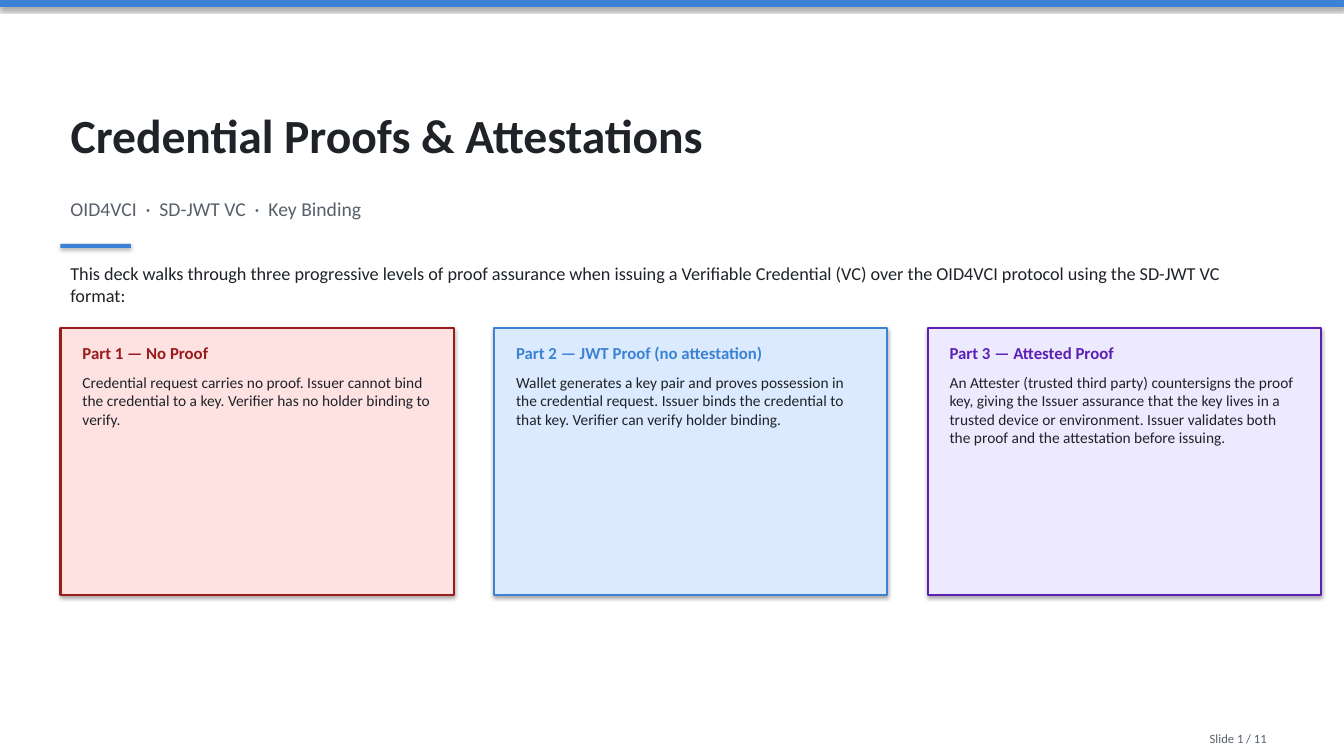
from dataclasses import dataclass

from pptx import Presentation
from pptx.dml.color import RGBColor
from pptx.enum.shapes import MSO_SHAPE
from pptx.enum.text import MSO_ANCHOR, MSO_AUTO_SIZE, PP_ALIGN
from pptx.util import Inches, Pt

TITLE = "Credential Proofs & Attestations"
TOPICS = "OID4VCI  ·  SD-JWT VC  ·  Key Binding"
INTRO = (
    "This deck walks through three progressive levels of proof assurance when "
    "issuing a Verifiable Credential (VC) over the OID4VCI protocol using the "
    "SD-JWT VC format:"
)
FOOTER = "Slide 1 / 11"

# heading, body, body height, fill, accent
PARTS = [
    ("Part 1 — No Proof",
     "Credential request carries no proof. Issuer cannot bind the credential "
     "to a key. Verifier has no holder binding to verify.",
     0.65, "FEE2E2", "991B1B"),
    ("Part 2 — JWT Proof (no attestation)",
     "Wallet generates a key pair and proves possession in the credential "
     "request. Issuer binds the credential to that key. Verifier can verify "
     "holder binding.",
     0.65, "DBEAFE", "3B82D4"),
    ("Part 3 — Attested Proof",
     "An Attester (trusted third party) countersigns the proof key, giving the "
     "Issuer assurance that the key lives in a trusted device or environment. "
     "Issuer validates both the proof and the attestation before issuing.",
     0.83, "EDE9FE", "5B21B6"),
]


@dataclass(frozen=True)
class Theme:
    font: str = "Calibri"
    ink: str = "1F2328"
    muted: str = "57606A"
    accent: str = "3B82D4"
    title: int = 34
    topics: int = 14
    intro: int = 13
    heading: int = 12
    body: int = 11
    footer: int = 9


THEME = Theme()
WIDTH, HEIGHT = 13.33, 7.5
MARGIN = 0.6
CARD_TOP, CARD_W, CARD_H, GAP = 3.25, 3.9, 2.65, 0.4
INSET = 0.12


def rgb(code):
    return RGBColor.from_string(code)


def write(shape, text, size, color, bold=False):
    frame = shape.text_frame
    layout = {
        "word_wrap": True,
        "auto_size": MSO_AUTO_SIZE.SHAPE_TO_FIT_TEXT,
        "vertical_anchor": MSO_ANCHOR.TOP,
    }
    for name, value in layout.items():
        setattr(frame, name, value)
    para = frame.paragraphs[0]
    para.alignment = PP_ALIGN.LEFT
    run = para.add_run()
    run.text = text
    style = {"name": THEME.font, "size": Pt(size), "bold": bold}
    for name, value in style.items():
        setattr(run.font, name, value)
    run.font.color.rgb = rgb(color)


def add_text(slide, box, *content):
    write(slide.shapes.add_textbox(*map(Inches, box)), *content)


def add_rect(slide, box, fill, line=None):
    """Add a filled rectangle that keeps the soft shadow of the theme."""
    rect = slide.shapes.add_shape(MSO_SHAPE.RECTANGLE, *map(Inches, box))
    rect.fill.solid()
    rect.fill.fore_color.rgb = rgb(fill)
    if line:
        rect.line.color.rgb = rgb(line)
        rect.line.width = Pt(1.5)
    else:
        rect.line.fill.background()


def add_card(slide, index, part):
    heading, body, body_h, fill, accent = part
    left = MARGIN + index * (CARD_W + GAP)
    inner, width = left + INSET, CARD_W - 2 * INSET
    add_rect(slide, (left, CARD_TOP, CARD_W, CARD_H), fill, accent)
    add_text(slide, (inner, CARD_TOP + 0.1, width, 0.3),
             heading, THEME.heading, accent, True)
    add_text(slide, (inner, CARD_TOP + 0.4, width, body_h),
             body, THEME.body, THEME.ink)


def main():
    deck = Presentation()
    deck.slide_width, deck.slide_height = Inches(WIDTH), Inches(HEIGHT)
    slide = deck.slides.add_slide(deck.slide_layouts[5])

    title = slide.shapes.title
    place = {"left": MARGIN, "top": 1, "width": 12, "height": 0.67}
    for name, value in place.items():
        setattr(title, name, Inches(value))
    write(title, TITLE, THEME.title, THEME.ink, True)

    add_rect(slide, (0, 0, WIDTH, 0.07), THEME.accent)
    add_text(slide, (MARGIN, 1.9, 10, 0.33), TOPICS, THEME.topics, THEME.muted)
    add_rect(slide, (MARGIN, 2.42, 0.7, 0.04), THEME.accent)
    add_text(slide, (MARGIN, 2.55, 12.1, 0.53), INTRO, THEME.intro, THEME.ink)
    for index, part in enumerate(PARTS):
        add_card(slide, index, part)
    add_text(slide, (11.9, 7.2, 1.3, 0.25), FOOTER, THEME.footer, THEME.muted)

    deck.save("out.pptx")


if __name__ == "__main__":
    main()
